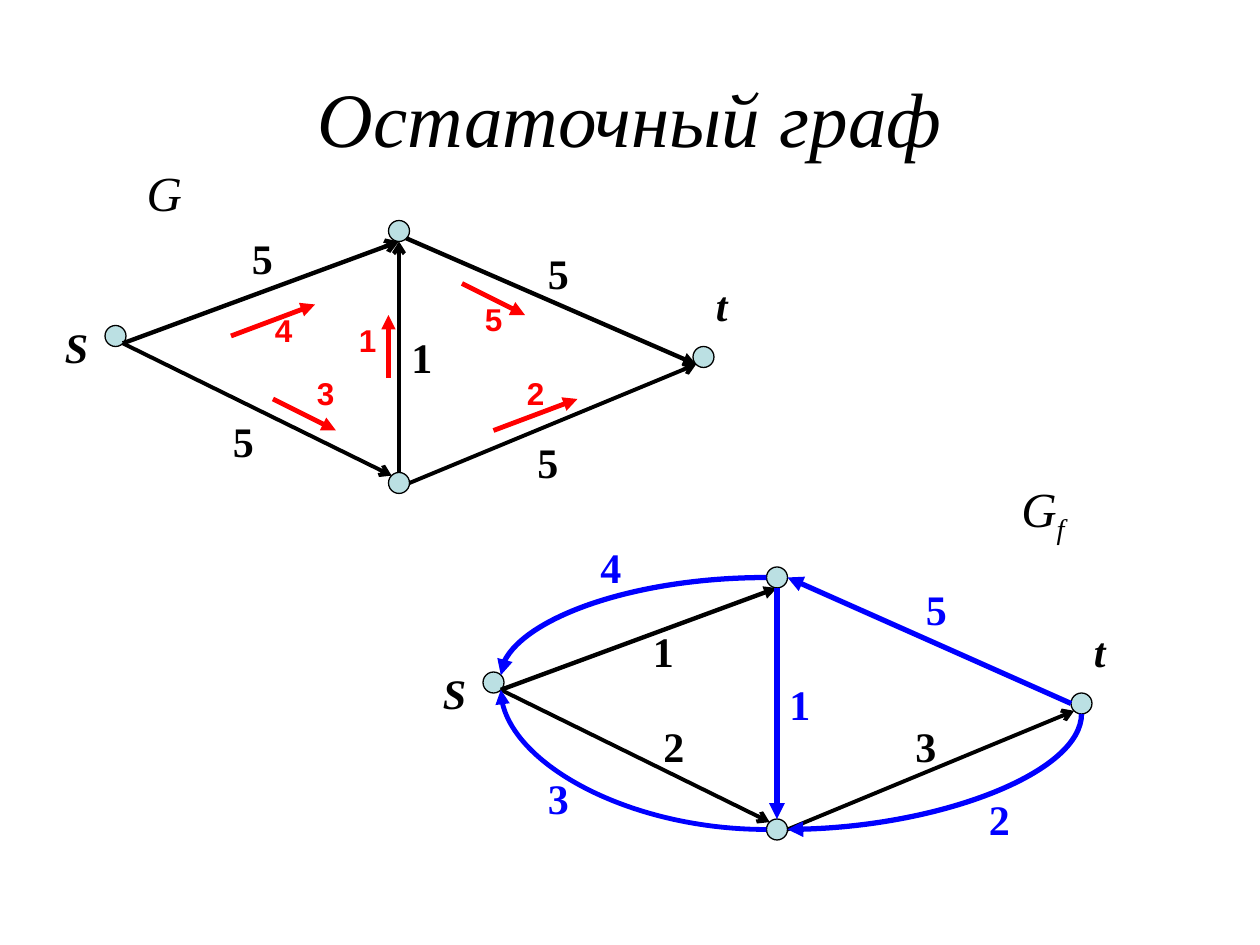
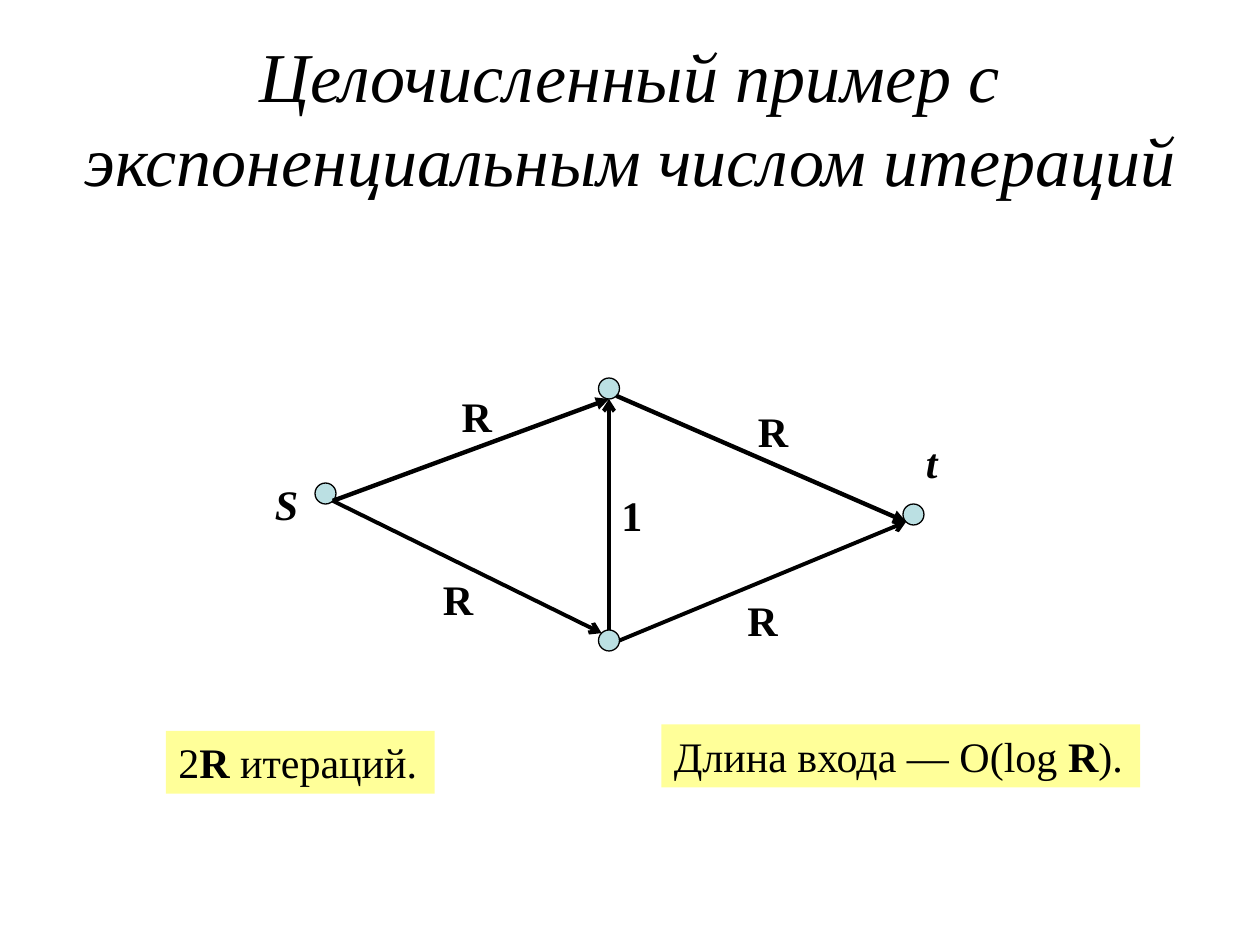
from dataclasses import dataclass

from lxml.etree import SubElement
from pptx import Presentation
from pptx.dml.color import RGBColor as Color
from pptx.enum.shapes import MSO_CONNECTOR as Link, MSO_SHAPE as Preset
from pptx.enum.text import MSO_ANCHOR as Anchor, MSO_AUTO_SIZE as Fit, PP_ALIGN as Align
from pptx.oxml.ns import qn
from pptx.util import Inches, Pt


@dataclass
class Theme:
    ink: str = "000000"
    flow: str = "FF0000"
    residual: str = "0000FF"
    node: str = "BBE0E3"
    note: str = "FFFF99"
    serif: str = "Times New Roman"
    sans: str = "Arial"
    title: int = 44
    long_title: int = 40
    name: int = 28
    label: int = 24
    flow_label: int = 18
    outline: float = 0.75
    thin: float = 2.25
    medium: float = 2.5
    thick: float = 2.75
    heavy: float = 3


theme = Theme()
deck = Presentation()
deck.slide_width, deck.slide_height = Inches(10), Inches(7.5)
COLUMNS = 120
CELL = deck.slide_width / COLUMNS


def write(page, place, spans, size, color=theme.ink, face=theme.serif, fill=None, title=False, **style):
    box = page.shapes.add_textbox(*(round(length * CELL) for length in place))
    frame = box.text_frame
    frame.word_wrap = title
    frame.auto_size = Fit.NONE if title else Fit.SHAPE_TO_FIT_TEXT
    frame.vertical_anchor = Anchor.MIDDLE if title else Anchor.TOP
    para = frame.paragraphs[0]
    para.alignment = Align.CENTER if title else Align.LEFT
    if fill:
        box.fill.solid()
        box.fill.fore_color.rgb = Color.from_string(fill)
    for text, extra in spans:
        span = para.add_run()
        span.text = text
        span.font.color.rgb = Color.from_string(color)
        values = {"name": face, "size": Pt(size), **style, **extra}
        baseline = values.pop("baseline", None)
        for key, value in values.items():
            setattr(span.font, key, value)
        if baseline:
            span.font._element.set("baseline", baseline)


def draw_edge(page, origin, ends, width, color=theme.ink, tip="triangle", tip_end="tailEnd", curved=False):
    points = [round((length + origin[i % 2]) * CELL) for i, length in enumerate(ends)]
    edge = page.shapes.add_connector(Link.CURVE if curved else Link.STRAIGHT, *points)
    edge.line.width = Pt(width)
    edge.line.color.rgb = Color.from_string(color)
    properties = edge._element.spPr
    if curved:
        properties.find(qn("a:prstGeom")).set("prst", "curvedConnector2")
    SubElement(properties.find(qn("a:ln")), qn("a:" + tip_end), type=tip)
    SubElement(properties, qn("a:effectLst"))


titles = [
    ("Остаточный граф", theme.title),
    ("Целочисленный пример c экспоненциальным числом итераций", theme.long_title),
]
pages = []
for text, size in titles:
    page = deck.slides.add_slide(deck.slide_layouts[6])
    write(page, (6, 3.6, 108, 15), [(text, {})], size, title=True, italic=True)
    pages.append(page)
residual_page, example_page = pages

NODE_SIZE = 2
nodes = [(27, 14), (27, -10), (0, 0), (56, 2)]
source_top = (1.7, 1.7, 28, -8)
source_bottom = (1.7, 1.7, 27.3, 14.3)
top_sink = (28.7, -8.3, 56.3, 3.7)
bottom_sink = (29, 15, 56.3, 3.7)
bottom_top = (28, 14, 28, -8)
capacity_places = [(12.8, -9.4), (11, 8), (41, -8), (40, 10), (28, 0)]

network_origin, residual_origin, example_origin = (10, 31), (46, 64), (30, 46)
graphs = [
    (residual_page, network_origin, "arrow", "5", 4.3),
    (residual_page, residual_origin, "triangle", None, 4.3),
    (example_page, example_origin, "triangle", "R", 5.3),
]
for page, (left, top), first_tip, capacity, label_width in graphs:
    origin = (left, top)
    for column, row in nodes:
        place = (left + column, top + row, NODE_SIZE, NODE_SIZE)
        node = page.shapes.add_shape(Preset.OVAL, *(round(length * CELL) for length in place))
        node.shadow.inherit = False
        node.fill.solid()
        node.fill.fore_color.rgb = Color.from_string(theme.node)
        node.line.color.rgb = Color.from_string(theme.ink)
        node.line.width = Pt(theme.outline)
    draw_edge(page, origin, source_top, theme.medium, tip=first_tip)
    for ends in (source_bottom, bottom_sink):
        draw_edge(page, origin, ends, theme.thin, tip="arrow")
    for text, column, row, width in (("S", -5, -1, 4.6), ("t", 57, -5, 3.5)):
        write(page, (left + column, top + row, width, 6), [(text, {})], theme.label, bold=True, italic=True)
    if capacity:
        draw_edge(page, origin, top_sink, theme.medium)
        draw_edge(page, origin, bottom_top, theme.thin, tip="arrow")
        for text, (column, row) in zip([capacity] * 4 + ["1"], capacity_places):
            width = 4.3 if text == "1" else label_width
            write(page, (left + column, top + row, width, 6), [(text, {})], theme.label, bold=True)

flows = [
    ("4", (12, 1, 20, -2), (15, -2)),
    ("3", (16, 7, 22, 10), (19, 4)),
    ("2", (37, 10, 45, 7), (39, 4)),
    ("5", (34, -4, 40, -1), (35, -3)),
    ("1", (27, 5, 27, -1), (23, -1)),
]
left, top = network_origin
for text, ends, (column, row) in flows:
    draw_edge(residual_page, network_origin, ends, theme.thick, theme.flow)
    place = (left + column, top + row, 4.1, 4.8)
    write(residual_page, place, [(text, {})], theme.flow_label, theme.flow, theme.sans, bold=True)

back_edges = [
    ((27, -9, 1.7, 0.3), theme.heavy, "tailEnd", True),
    ((27, 15, 1.7, 1.7), theme.thick, "tailEnd", True),
    ((29, 15, 57, 4), theme.heavy, "headEnd", True),
    ((56, 3, 29, -9), theme.heavy, "tailEnd", False),
    ((28, -8, 28, 14), theme.heavy, "tailEnd", False),
]
for ends, width, tip_end, curved in back_edges:
    draw_edge(residual_page, residual_origin, ends, width, theme.residual, tip_end=tip_end, curved=curved)

residual_labels = [
    ("1", 15, -5, theme.ink),
    ("2", 16, 4, theme.ink),
    ("3", 40, 4, theme.ink),
    ("5", 41, -9, theme.residual),
    ("1", 28, 0, theme.residual),
    ("4", 10, -13, theme.residual),
    ("3", 5, 9, theme.residual),
    ("2", 47, 11, theme.residual),
]
left, top = residual_origin
for text, column, row, color in residual_labels:
    write(residual_page, (left + column, top + row, 4.3, 6), [(text, {})], theme.label, color, bold=True)

subscript = {"baseline": "-25000"}
write(residual_page, (12.8, 14.9, 5.8, 6.8), [("G", {})], theme.name, italic=True)
write(residual_page, (96.1, 45, 6.5, 7.6), [("G", {}), ("f", subscript)], theme.name, italic=True)

strong = {"bold": True}
notes = [
    ((15.8, 69.6, 25.6, 6), [("2", {}), ("R ", strong), ("итераций.", {})]),
    ((63, 69, 45.6, 6), [("Длина входа ― O(log ", {}), ("R", strong), (").", {})]),
]
for place, spans in notes:
    write(example_page, place, spans, theme.label, fill=theme.note)

deck.save("out.pptx")
